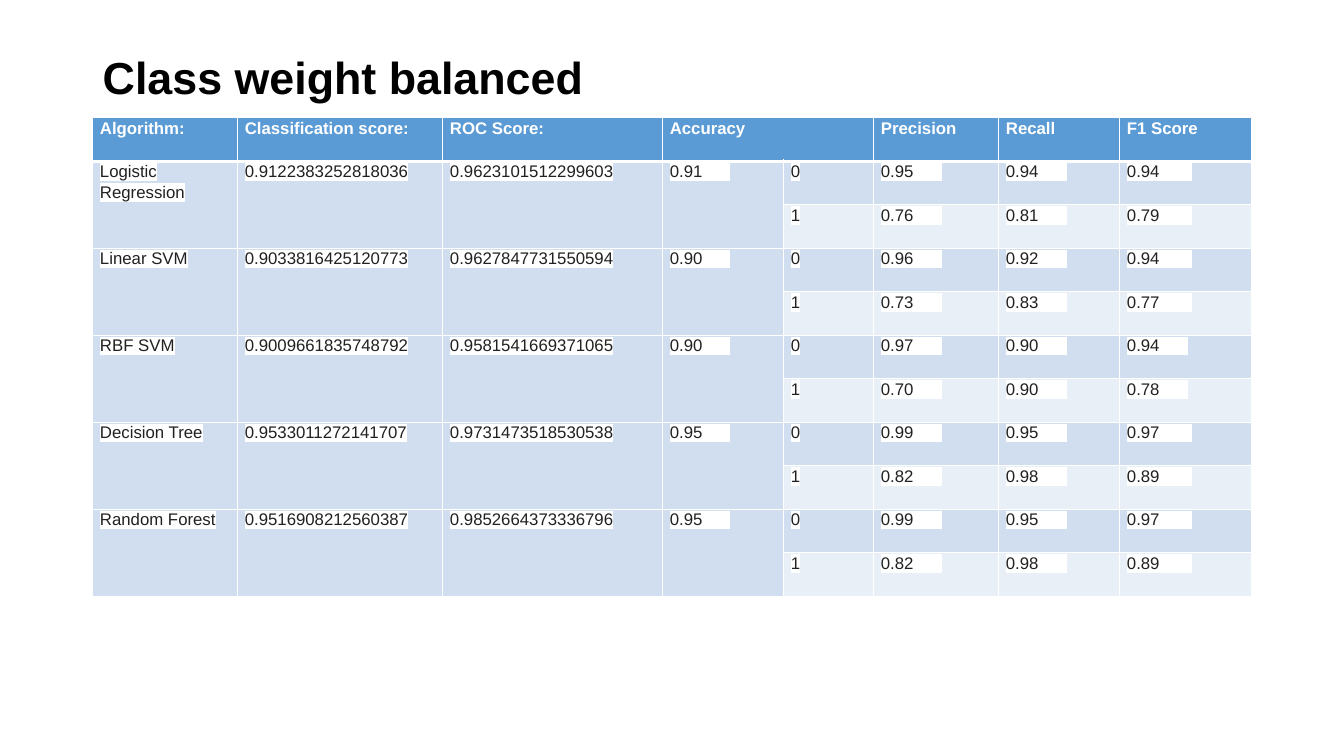
from dataclasses import dataclass

from lxml.etree import SubElement
from pptx import Presentation
from pptx.dml.color import RGBColor
from pptx.enum.text import MSO_ANCHOR
from pptx.oxml.ns import qn
from pptx.table import Table, _Cell
from pptx.text.text import _Paragraph
from pptx.util import Cm, Pt

BLACK = RGBColor(0x00, 0x00, 0x00)
WHITE = RGBColor(0xFF, 0xFF, 0xFF)
CHARCOAL = RGBColor(0x21, 0x21, 0x21)
HEADER_BLUE = RGBColor(0x5B, 0x9B, 0xD5)
DARK_BAND = RGBColor(0xD0, 0xDE, 0xEF)
LIGHT_BAND = RGBColor(0xE9, 0xEF, 0xF7)

FONT_NAME = "Arial"
LEFT, WIDTH = Cm(2.34), Cm(29.21)
THIN, THICK = Pt(1), Pt(3)
MERGED_COLUMNS = 4
COLUMN_WIDTHS = (3.65, 5.17, 5.54, 3.05, 2.27, 3.15, 3.05, 3.33)
HEADERS = ("Algorithm:", "Classification score:", "ROC Score:", "Accuracy",
           "", "Precision", "Recall", "F1 Score")


@dataclass(frozen=True)
class TextStyle:
    size: int
    color: RGBColor
    bold: bool = False
    line_spacing: float = 1.07
    highlight: RGBColor | None = None


@dataclass(frozen=True)
class ClassScores:
    precision: str
    recall: str
    f1: str


@dataclass(frozen=True)
class Classifier:
    name: str
    classification: str
    roc: str
    accuracy: str
    classes: tuple[ClassScores, ClassScores]
    f1_padding: int = 7


TITLE_STYLE = TextStyle(32, BLACK, bold=True, line_spacing=0.9)
HEADER_STYLE = TextStyle(12, WHITE, bold=True)
BODY_STYLE = TextStyle(12, CHARCOAL, highlight=WHITE)

CLASSIFIERS = (
    Classifier("Logistic Regression", "0.9122383252818036", "0.9623101512299603", "0.91",
               (ClassScores("0.95", "0.94", "0.94"), ClassScores("0.76", "0.81", "0.79"))),
    Classifier("Linear SVM", "0.9033816425120773", "0.9627847731550594", "0.90",
               (ClassScores("0.96", "0.92", "0.94"), ClassScores("0.73", "0.83", "0.77"))),
    Classifier("RBF SVM", "0.9009661835748792", "0.9581541669371065", "0.90",
               (ClassScores("0.97", "0.90", "0.94"), ClassScores("0.70", "0.90", "0.78")),
               f1_padding=6),
    Classifier("Decision Tree", "0.9533011272141707", "0.9731473518530538", "0.95",
               (ClassScores("0.99", "0.95", "0.97"), ClassScores("0.82", "0.98", "0.89"))),
    Classifier("Random Forest", "0.9516908212560387", "0.9852664373336796", "0.95",
               (ClassScores("0.99", "0.95", "0.97"), ClassScores("0.82", "0.98", "0.89"))),
)


def padded(score: str, padding: int = 6) -> str:
    """Extend the highlighted area of a score with non-breaking spaces."""
    return score + "\u00a0" * padding


def classifier_rows(classifier: Classifier) -> list[tuple[str, ...]]:
    """Return one row of texts for each class of a classifier."""
    summary = (classifier.name, classifier.classification, classifier.roc,
               padded(classifier.accuracy))
    return [
        (*(summary if label == 0 else ("",) * MERGED_COLUMNS), str(label),
         padded(scores.precision), padded(scores.recall),
         padded(scores.f1, classifier.f1_padding))
        for label, scores in enumerate(classifier.classes)
    ]


def add_text(paragraph: _Paragraph, text: str, style: TextStyle) -> None:
    """Add one styled run to a paragraph."""
    paragraph.line_spacing = style.line_spacing
    run = paragraph.add_run()
    run.text = text
    font = run.font
    font.size, font.bold = Pt(style.size), style.bold
    font.color.rgb = style.color
    if style.highlight is not None:
        properties = run._r.get_or_add_rPr()
        highlight = SubElement(properties, qn("a:highlight"))
        SubElement(highlight, qn("a:srgbClr"), val=str(style.highlight))
    font.name = FONT_NAME


def add_borders(cell: _Cell, top: int, bottom: int) -> None:
    """Draw white borders around a cell."""
    properties = cell._tc.get_or_add_tcPr()
    for side, width in (("L", THIN), ("R", THIN), ("T", top), ("B", bottom)):
        line = SubElement(properties, qn(f"a:ln{side}"), w=str(int(width)))
        fill = SubElement(line, qn("a:solidFill"))
        SubElement(fill, qn("a:srgbClr"), val=str(WHITE))


def fill_color(row: int, column: int) -> RGBColor:
    """Choose the fill of a cell from its place in the table."""
    if row == 0:
        return HEADER_BLUE
    return DARK_BAND if column < MERGED_COLUMNS or row % 2 else LIGHT_BAND


def fill_table(table: Table, rows: list[tuple[str, ...]]) -> None:
    """Write and style every cell, then merge the shared ones."""
    table.first_row = table.horz_banding = False
    for column, width in zip(table.columns, COLUMN_WIDTHS):
        column.width = Cm(width)
    for row, texts in enumerate(rows):
        for column, text in enumerate(texts):
            cell = table.cell(row, column)
            cell.margin_left = cell.margin_right = Cm(0.18)
            cell.margin_top = cell.margin_bottom = Cm(0)
            add_borders(cell, THICK if row == 1 else THIN, THICK if row == 0 else THIN)
            cell.fill.solid()
            cell.fill.fore_color.rgb = fill_color(row, column)
            if text:
                style = BODY_STYLE if row else HEADER_STYLE
                add_text(cell.text_frame.paragraphs[0], text, style)
    table.cell(0, 3).merge(table.cell(0, 4))
    for row in range(1, len(rows), 2):
        for column in range(MERGED_COLUMNS):
            table.cell(row, column).merge(table.cell(row + 1, column))


def main() -> None:
    """Build the slide and save the presentation."""
    presentation = Presentation()
    presentation.slide_width, presentation.slide_height = Cm(33.87), Cm(19.05)
    slide = presentation.slides.add_slide(presentation.slide_layouts[6])

    title = slide.shapes.add_textbox(LEFT, Cm(1.3), WIDTH, Cm(1.42)).text_frame
    title.word_wrap = True
    title.vertical_anchor = MSO_ANCHOR.MIDDLE
    add_text(title.paragraphs[0], "Class weight\u00a0balanced", TITLE_STYLE)

    rows = [HEADERS]
    for classifier in CLASSIFIERS:
        rows.extend(classifier_rows(classifier))
    frame = slide.shapes.add_table(
        len(rows), len(HEADERS), LEFT, Cm(2.97), WIDTH, Cm(12.06))
    fill_table(frame.table, rows)

    presentation.save("out.pptx")


main()
